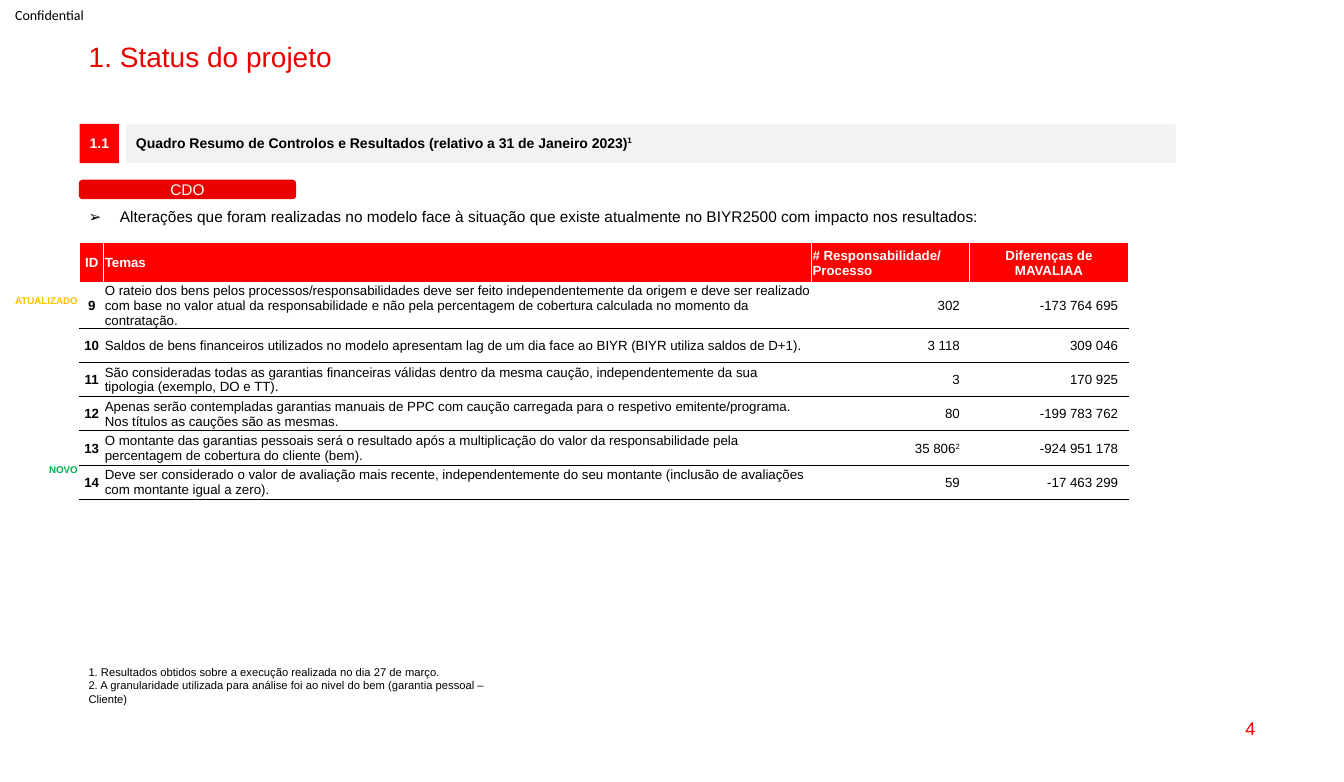
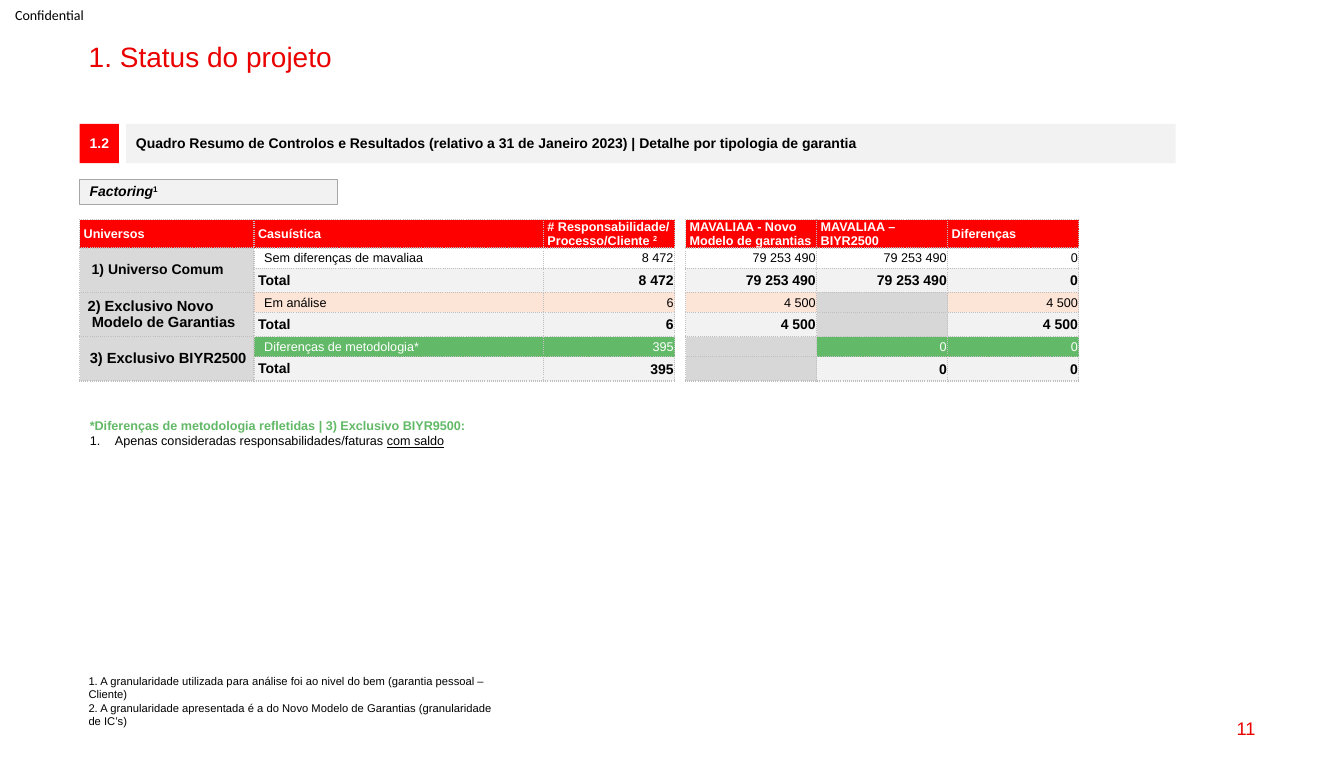
from dataclasses import dataclass, replace

from lxml import etree
from pptx import Presentation
from pptx.dml.color import RGBColor
from pptx.enum.shapes import MSO_SHAPE
from pptx.enum.text import MSO_ANCHOR, MSO_AUTO_SIZE, PP_ALIGN
from pptx.oxml.ns import qn
from pptx.util import Inches, Pt

LEFT, CENTER, RIGHT = PP_ALIGN.LEFT, PP_ALIGN.CENTER, PP_ALIGN.RIGHT
TOP, MIDDLE = MSO_ANCHOR.TOP, MSO_ANCHOR.MIDDLE
RECT, ROUNDED = MSO_SHAPE.RECTANGLE, MSO_SHAPE.ROUNDED_RECTANGLE

# The grid has ten columns and ten rows to the inch.
CELL = Inches(0.1)
SLIDE_COLS, SLIDE_ROWS = 133.3, 77.6
MARGIN = 7.9
BAND_ROW, BAND_SIZE = 12.3, 3.9
BOX_INSETS = (1, 0.5, 1, 0.5)


@dataclass(frozen=True)
class Ink:
    size: float
    color: str = "000000"
    bold: bool = False
    italic: bool = False
    underline: bool = False
    raised: bool = False
    font: str = "Arial"


@dataclass(frozen=True)
class Theme:
    brand: str = "EB0000"
    red: str = "FF0000"
    white: str = "FFFFFF"
    black: str = "000000"
    pale: str = "F2F2F2"
    outline: str = "A6A6A6"
    dots: str = "BFBFBF"
    universe: str = "D9D9D9"
    blank: str = "D7D7D7"
    peach: str = "FCE4D6"
    green: str = "62B967"
    updated: str = "FFC000"
    new: str = "00B050"
    title: Ink = Ink(20, "EB0000")
    page: Ink = Ink(13, "EB0000")
    label: Ink = Ink(10, font="Calibri")
    band: Ink = Ink(10, bold=True)
    body: Ink = Ink(11)
    tag: Ink = Ink(7, bold=True)
    topic: Ink = Ink(9.5)
    detail: Ink = Ink(9)
    total: Ink = Ink(10, bold=True)
    footnote: Ink = Ink(8)


THEME = Theme()


def grid(cells):
    return round(cells * CELL)


def rgb(color):
    return RGBColor.from_string(color)


def line(text, ink):
    """One paragraph with a single run."""
    return [(text, ink)]


def raised(ink):
    return replace(ink, raised=True, italic=False)


def set_bullet(paragraph, indent, tag, **attributes):
    """Hang the paragraph by indent and give it the bullet element named tag."""
    props = paragraph._p.get_or_add_pPr()
    props.set("marL", str(grid(indent)))
    props.set("indent", str(-grid(indent)))
    if tag == "a:buChar":
        etree.SubElement(props, qn("a:buFont"), typeface="Arial")
    etree.SubElement(props, qn(tag), **attributes)


def set_borders(cell, borders):
    """Draw left, right, top and bottom edges, each (color, points, dash) or None."""
    props = cell._tc.get_or_add_tcPr()
    for side, border in zip("LRTB", borders):
        edge = etree.SubElement(props, qn(f"a:ln{side}"))
        if border is None:
            etree.SubElement(edge, qn("a:noFill"))
            continue
        color, points, dash = border
        edge.set("w", str(Pt(points)))
        fill = etree.SubElement(edge, qn("a:solidFill"))
        etree.SubElement(fill, qn("a:srgbClr"), val=color)
        etree.SubElement(edge, qn("a:prstDash"), val=dash)


class Deck:
    """Holds the presentation, its theme and the slide being filled."""

    def __init__(self, theme):
        self.theme = theme
        self.prs = Presentation()
        self.prs.slide_width = grid(SLIDE_COLS)
        self.prs.slide_height = grid(SLIDE_ROWS)
        self.layout = self.prs.slide_layouts[1]
        self.slide = None

    def fill_frame(self, frame, paragraphs, align=LEFT, anchor=MIDDLE,
                   insets=BOX_INSETS, spacing=1.0):
        frame.word_wrap = True
        frame.auto_size = MSO_AUTO_SIZE.NONE
        frame.vertical_anchor = anchor
        (frame.margin_left, frame.margin_top,
         frame.margin_right, frame.margin_bottom) = map(grid, insets)
        self.fill_paragraphs(frame, paragraphs, align, spacing)

    def fill_paragraphs(self, frame, paragraphs, align, spacing=1.0):
        for index, runs in enumerate(paragraphs):
            paragraph = frame.add_paragraph() if index else frame.paragraphs[0]
            paragraph.alignment = align
            paragraph.line_spacing = spacing
            paragraph.space_before = Pt(0)
            for text, ink in runs:
                run = paragraph.add_run()
                run.text = text
                font = run.font
                font.name, font.size = ink.font, Pt(ink.size)
                font.bold, font.italic = ink.bold, ink.italic
                font.underline = ink.underline
                font.color.rgb = rgb(ink.color)
                if ink.raised:
                    run._r.get_or_add_rPr().set("baseline", "30000")

    def text(self, place, paragraphs, **options):
        box = self.slide.shapes.add_textbox(*map(grid, place))
        self.fill_frame(box.text_frame, paragraphs, **options)
        return box

    def panel(self, place, paragraphs, fill, outline=None, kind=RECT, **options):
        shape = self.slide.shapes.add_shape(kind, *map(grid, place))
        shape.shadow.inherit = False
        shape.fill.solid()
        shape.fill.fore_color.rgb = rgb(fill)
        if outline:
            color, points = outline
            shape.line.color.rgb = rgb(color)
            shape.line.width = Pt(points)
        else:
            shape.line.fill.background()
        self.fill_frame(shape.text_frame, paragraphs, **options)

    def placeholder(self, holder, place, paragraphs, **options):
        holder.left, holder.top, holder.width, holder.height = map(grid, place)
        self.fill_frame(holder.text_frame, paragraphs, anchor=TOP, **options)
        return holder.text_frame.paragraphs

    def body(self, place, paragraphs):
        return self.placeholder(self.slide.placeholders[1], place, paragraphs)

    def confidential_label(self):
        """Put the label on the layout, so that every slide shows it."""
        box = self.text((0, 0, 9.9, 2.9), [line("Confidential", self.theme.label)],
                        insets=(1.5, 0, 0, 0))
        self.layout.shapes.element.append(box.element)

    def start_slide(self, page, section, heading):
        theme = self.theme
        self.slide = self.prs.slides.add_slide(self.layout)
        if len(self.prs.slides) == 1:
            self.confidential_label()
        self.placeholder(self.slide.shapes.title, (7.8, 3.8, 117.7, 3.4),
                         [line("1. Status do projeto", theme.title)], spacing=0.9)
        self.text((95.5, 70.2, 30, 4.1), [line(page, theme.page)], align=RIGHT)
        self.panel((MARGIN, BAND_ROW, BAND_SIZE, BAND_SIZE),
                   [line(section, replace(theme.band, color=theme.white))],
                   theme.red, align=CENTER, spacing=0.9)
        self.panel((12.5, BAND_ROW, 104.1, BAND_SIZE), [heading],
                   theme.pale, spacing=0.9)

    def footnotes(self, row, notes):
        self.text((7.8, row, 43.3, 5), [line(note, self.theme.footnote) for note in notes],
                  anchor=TOP)

    def table(self, row, widths, heights):
        frame = self.slide.shapes.add_table(
            len(heights), len(widths), grid(MARGIN), grid(row),
            grid(sum(widths)), grid(sum(heights)))
        table = frame.table
        table.first_row = table.horz_banding = False
        for column, width in zip(table.columns, widths):
            column.width = grid(width)
        for table_row, height in zip(table.rows, heights):
            table_row.height = grid(height)
        return table

    def cell(self, cell, paragraphs, borders, fill=None, align=LEFT,
             insets=(0.1, 0.1, 0.1, 0)):
        set_borders(cell, borders)
        if fill:
            cell.fill.solid()
            cell.fill.fore_color.rgb = rgb(fill)
        else:
            cell.fill.background()
        cell.vertical_anchor = MIDDLE
        (cell.margin_left, cell.margin_top,
         cell.margin_right, cell.margin_bottom) = map(grid, insets)
        if paragraphs:
            self.fill_paragraphs(cell.text_frame, paragraphs, align)
        else:
            etree.SubElement(cell.text_frame.paragraphs[0]._p,
                             qn("a:endParaRPr"), sz="900")


THEMES_HEADER = (("ID", CENTER), ("Temas", LEFT),
                 ("# Responsabilidade/ Processo", LEFT), ("Diferenças de MAVALIAA", CENTER))
CHANGES = (
    ("9", "O rateio dos bens pelos processos/responsabilidades deve ser feito independentemente da origem e deve ser realizado com base no valor atual da responsabilidade e não pela percentagem de cobertura calculada no momento da contratação.", "302", "-173 764 695"),
    ("10", "Saldos de bens financeiros utilizados no modelo apresentam lag de um dia face ao BIYR (BIYR utiliza saldos de D+1).", "3 118", "309 046"),
    ("11", "São consideradas todas as garantias financeiras válidas dentro da mesma caução, independentemente da sua tipologia (exemplo, DO e TT).", "3", "170 925"),
    ("12", "Apenas serão contempladas garantias manuais de PPC com caução carregada para o respetivo emitente/programa. Nos títulos as cauções são as mesmas.", "80", "-199 783 762"),
    ("13", "O montante das garantias pessoais será o resultado após a multiplicação do valor da responsabilidade pela percentagem de cobertura do cliente (bem).", "35 806", "-924 951 178"),
    ("14", "Deve ser considerado o valor de avaliação mais recente, independentemente do seu montante (inclusão de avaliações com montante igual a zero).", "59", "-17 463 299"),
)
COUNT_NOTES = {"13": "2"}

# Label lines, label inset, label size, case, case fill, case ink colour, values.
UNIVERSES = (
    (["1) Universo Comum"], 1.2, 10, "Sem diferenças de mavaliaa", None, THEME.black,
     ("8 472", "79 253 490", "79 253 490", "0")),
    (["2) Exclusivo Novo", "Modelo de Garantias"], 0.8, 10.5, "Em análise", THEME.peach,
     THEME.black, ("6", "4 500", None, "4 500")),
    (["3) Exclusivo BIYR2500"], 1, 10.5, "Diferenças de metodologia*", THEME.green,
     THEME.white, ("395", None, "0", "0")),
)
GAP_COLUMN = 3
VALUE_COLUMNS = (2, 4, 5, 6)


def fill_changes(deck):
    theme = deck.theme
    ink = theme.topic
    bold = replace(ink, bold=True)
    white, black = (theme.white, 1, "solid"), (theme.black, 0.5, "solid")
    table = deck.table(24.1, (2.4, 70.2, 15.7, 15.7), [3.9] + [3.4] * len(CHANGES))
    for col, (name, align) in enumerate(THEMES_HEADER):
        deck.cell(table.cell(0, col), [line(name, replace(bold, color=theme.white))],
                  [white] * 4, theme.red, align)
    for row, (number, topic, count, difference) in enumerate(CHANGES, 1):
        borders = (white, white, white if row == 1 else black, black)
        count_runs = line(count, ink)
        if number in COUNT_NOTES:
            count_runs.append((COUNT_NOTES[number], raised(ink)))
        deck.cell(table.cell(row, 0), [line(number, bold)], borders, align=CENTER)
        deck.cell(table.cell(row, 1), [line(topic, ink)], borders)
        for col, runs in ((2, count_runs), (3, line(difference, ink))):
            deck.cell(table.cell(row, col), [runs], borders, align=RIGHT,
                      insets=(0.1, 0.1, 1, 0))


def fill_universes(deck):
    theme = deck.theme
    dots = (theme.dots, 1, "sysDot")
    framed, gap_sides = [dots] * 4, [dots, dots, None, None]
    label_insets = (0.4, 0, 0.4, 0)
    table = deck.table(21.8, (17.3, 28.7, 13, 1.1, 13, 13, 13),
                       [2.6] + [2, 2.4] * len(UNIVERSES))
    for row in range(len(table.rows)):
        deck.cell(table.cell(row, GAP_COLUMN), None, gap_sides, insets=(0, 0, 0, 0))

    head = replace(theme.detail, color=theme.white, bold=True)
    headings = {
        0: [line("Universos", head)],
        1: [line("Casuística", head)],
        2: [line("# Responsabilidade/", head),
            [("Processo/Cliente ", head), ("2", raised(head))]],
        4: [line("MAVALIAA - Novo Modelo de garantias", head)],
        5: [line("MAVALIAA – BIYR2500", head)],
        6: [line("Diferenças", head)],
    }
    for col, heading in headings.items():
        deck.cell(table.cell(0, col), heading, framed, theme.red, insets=label_insets)

    for index, (label, inset, size, case, tint, color, values) in enumerate(UNIVERSES):
        top = 1 + 2 * index
        universe = table.cell(top, 0)
        deck.cell(universe, [line(part, replace(theme.total, size=size)) for part in label],
                  framed, theme.universe, insets=(inset, 0, 0.4, 0))
        for paragraph in universe.text_frame.paragraphs[1:]:
            paragraph._p.get_or_add_pPr().set("marL", str(grid(0.4)))
        deck.cell(table.cell(top + 1, 0), None, framed, theme.universe)
        universe.merge(table.cell(top + 1, 0))
        for row, name, ink, fill, insets in (
                (top, case, replace(theme.detail, color=color), tint, (1, 0.1, 0.1, 0)),
                (top + 1, "Total", theme.total, theme.pale, label_insets)):
            deck.cell(table.cell(row, 1), [line(name, ink)], framed, fill, insets=insets)
            for col, value in zip(VALUE_COLUMNS, values):
                deck.cell(table.cell(row, col), [line(value, ink)] if value else None,
                          framed, fill if value else theme.blank, RIGHT)


def changes_slide(deck):
    theme = deck.theme
    deck.start_slide("4", "1.1", [
        ("Quadro Resumo de Controlos e Resultados (relativo a 31 de Janeiro 2023)", theme.band),
        ("1", raised(theme.band))])
    deck.panel((MARGIN, 17.9, 21.4, 1.8), [line("CDO", replace(theme.body, color=theme.white))],
               theme.brand, (theme.brand, 1), ROUNDED, align=CENTER)
    intro, = deck.body((7.8, 20.1, 108.8, 2.9), [line(
        "Alterações que foram realizadas no modelo face à situação que existe atualmente no BIYR2500 com impacto nos resultados:", theme.body)])
    set_bullet(intro, 3.1, "a:buChar", char="➢")
    fill_changes(deck)
    for row, status, color in ((28.1, "ATUALIZADO", theme.updated), (44.9, "NOVO", theme.new)):
        deck.text((0, row, 8.7, 3.4), [line(status, replace(theme.tag, color=color))],
                  align=RIGHT)
    deck.footnotes(65.5, (
        "1. Resultados obtidos sobre a execução realizada no dia 27 de março.",
        "2. A granularidade utilizada para análise foi ao nivel do bem (garantia pessoal – Cliente)"))


def universes_slide(deck):
    theme = deck.theme
    deck.start_slide("11", "1.2", line(
        "Quadro Resumo de Controlos e Resultados (relativo a 31 de Janeiro 2023) | Detalhe por tipologia de garantia", theme.band))
    deck.panel((MARGIN, 17.8, 25.6, 2.5),
               [[("Factoring", replace(theme.band, italic=True)), ("1", raised(theme.band))]],
               theme.pale, (theme.outline, 0.75), spacing=0.9)
    fill_universes(deck)
    deck.footnotes(66.4, (
        "1. A granularidade utilizada para análise foi ao nivel do bem (garantia pessoal – Cliente)",
        "2. A granularidade apresentada é a do Novo Modelo de Garantias (granularidade de IC’s)"))
    method, rule = deck.body((MARGIN, 41, 105.5, 15), [
        line("*Diferenças de metodologia refletidas | 3) Exclusivo BIYR9500:",
             replace(theme.detail, color=theme.green, bold=True)),
        [("Apenas consideradas responsabilidades/faturas ", theme.detail),
         ("com saldo", replace(theme.detail, underline=True))]])
    set_bullet(method, 0, "a:buNone")
    set_bullet(rule, 2.5, "a:buAutoNum", type="arabicPeriod")


def main():
    deck = Deck(THEME)
    changes_slide(deck)
    universes_slide(deck)
    deck.prs.save("out.pptx")


if __name__ == "__main__":
    main()
